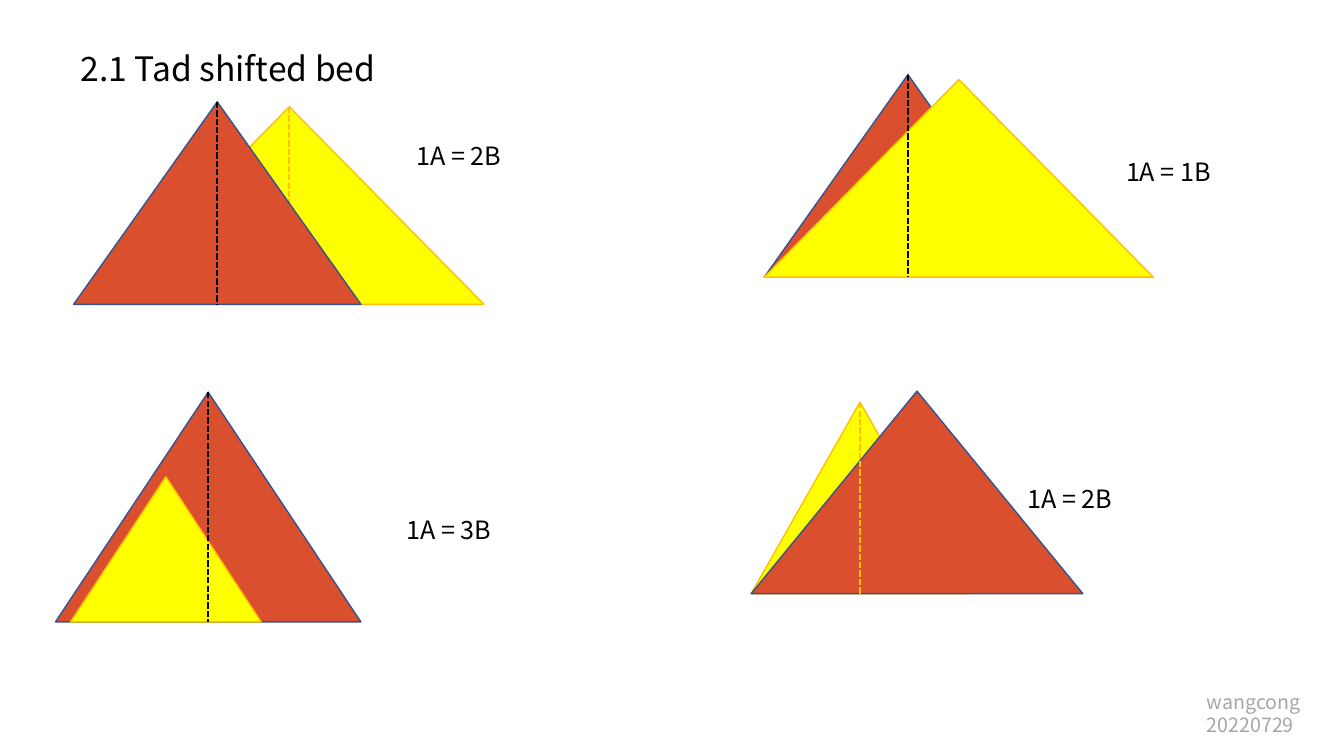
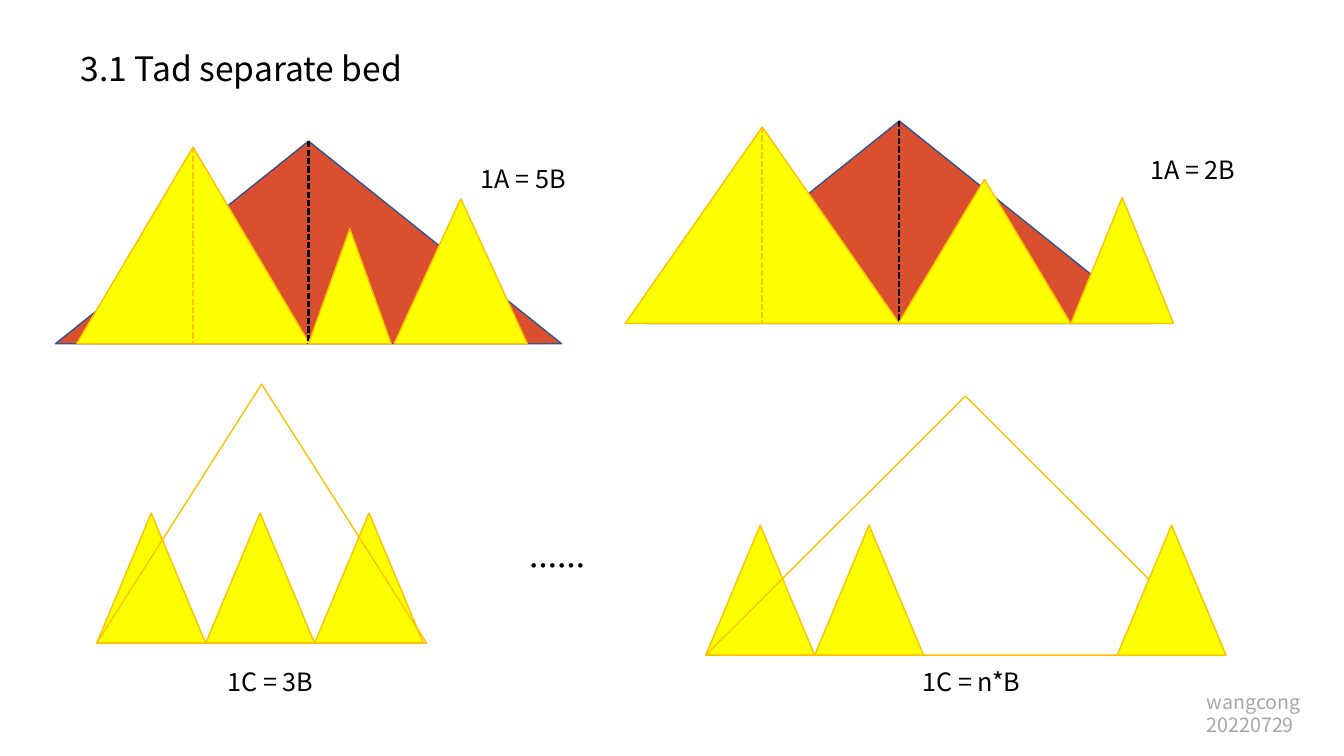
from lxml.etree import SubElement
from pptx import Presentation
from pptx.dml.color import RGBColor
from pptx.enum.dml import MSO_LINE as Dash
from pptx.enum.shapes import MSO_CONNECTOR as Link, MSO_SHAPE as Shape
from pptx.enum.text import MSO_ANCHOR as Anchor, MSO_AUTO_SIZE as Fit, PP_ALIGN as Align
from pptx.oxml.ns import qn
from pptx.util import Inches, Pt

WIDE, HIGH = 13.33, 7.5
FONT = "Noto Sans CJK SC"
HUE = {"red": "DA4F2E", "blue": "325491", "yellow": "FFFF00",
       "gold": "FFC000", "black": "000000", "grey": "A6A6A6"}
# Bed type: fill, outline, axis
STYLE = {"A": ("red", "blue", "black"),
         "B": ("yellow", "gold", "gold"),
         "C": (None, "gold", None)}
FOOT = ["wangcong", "20220729"]
STEP = 1.08  # width of one small bed
SMALL = 1.29  # height of one small bed


def row(*lefts):
    return {f"B{i}": (x, STEP, SMALL) for i, x in enumerate(lefts, 1)}


# Each panel: base line, beds as (left, width, height), drawing order from the
# back (lower case is the axis of that bed), label and the label's left and top.
SLIDES = [
    {"title": "2.1 Tad shifted bed", "panels": [
        (3.02, {"A": (0.73, 2.85, 2.01), "B": (0.94, 3.86, 1.96)},
         "B b A a", "1A = 2B", 4.03, 1.34),
        (2.75, {"A": (7.58, 2.85, 2.01), "B": (7.58, 3.86, 1.96)},
         "A B a", "1A = 1B", 11.07, 1.5),
        (6.17, {"A": (0.55, 3.03, 2.28), "B": (0.7, 1.89, 1.44)},
         "A B a", "1A = 3B", 3.93, 5.05),
        (5.89, {"A": (7.45, 3.29, 2.01), "B": (7.45, 2.16, 1.9)},
         "B A b", "1A = 2B", 10.09, 4.74),
    ]},
    {"title": "3.1 Tad separate bed", "panels": [
        (3.41, {"A": (0.55, 5.02, 2.01), "B1": (0.76, 2.31, 1.95),
                "B2": (3.06, 0.82, 1.14), "B3": (3.91, 1.32, 1.44)},
         "A B1 b1 a B2 B3", "1A = 5B", 4.67, 1.57),
        (3.21, {"A": (6.41, 5.02, 2.01), "B1": (6.2, 2.72, 1.95),
                "B2": (8.91, 1.71, 1.43), "B3": (10.62, 1.02, 1.25)},
         "A B1 b1 a B2 B3", "1A = 2B", 11.31, 1.48),
        (6.38, {"C": (0.96, 3.27, 2.57), **row(*(0.96 + STEP * i for i in range(3)))},
         "B3 B1 B2 C", "1C = 3B", 2.16, 6.56),
        (6.5, {"C": (7, 5.15, 2.57), **row(7, 7 + STEP, 11.08)},
         "B1 B2 C B3", "1C = n*B", 9.05, 6.56),
    ], "dots": ("……", 5.15, 5.39)},
]


def rgb(name):
    return RGBColor.from_string(HUE[name])


def place(shape, x, y, w, h):
    shape.left, shape.top, shape.width, shape.height = map(Inches, (x, y, w, h))


def write(box, *lines, size=18, hue="black", bold=False, lead=None):
    frame = box.text_frame
    frame.word_wrap, frame.auto_size = True, Fit.NONE
    frame.vertical_anchor = Anchor.MIDDLE
    frame.text = "\n".join(lines)
    for para in frame.paragraphs:
        para.alignment = Align.LEFT
        para.line_spacing = lead
        for run in para.runs:
            font = run.font
            font.size, font.bold = Pt(size), bold
            font.color.rgb = rgb(hue)
            font.name = FONT
            SubElement(font._element, qn("a:ea"), typeface=FONT)


def label(slide, x, y, w, h, *lines, **form):
    box = slide.shapes.add_textbox(*map(Inches, (x, y, w, h)))
    write(box, *lines, **form)


def bed(slide, base, x, w, h, kind):
    fill, edge, _ = STYLE[kind]
    tri = slide.shapes.add_shape(Shape.ISOSCELES_TRIANGLE,
                                 *map(Inches, (x, base - h, w, h)))
    tri.shadow.inherit = False
    if fill:
        tri.fill.solid()
        tri.fill.fore_color.rgb = rgb(fill)
    else:
        tri.fill.background()
    tri.line.color.rgb, tri.line.width = rgb(edge), Pt(1)


def axis(slide, base, x, w, h, kind):
    """Dashed line from the apex of a bed down to its base."""
    mid = x + w / 2
    link = slide.shapes.add_connector(Link.STRAIGHT,
                                      *map(Inches, (mid, base - h, mid, base)))
    link.line.color.rgb, link.line.width = rgb(STYLE[kind][2]), Pt(1.5)
    link.line.dash_style = Dash.SQUARE_DOT
    SubElement(link._element.spPr, qn("a:effectLst"))


def panel(slide, base, beds, order, text, x, y):
    for key in order.split():
        draw = axis if key.islower() else bed
        name = key.upper()
        draw(slide, base, *beds[name], name[0])
    label(slide, x, y, 1.47, 0.4, text)


def build(deck, data):
    slide = deck.slides.add_slide(deck.slide_layouts.get_by_name("Title Only"))
    title = slide.shapes.title
    place(title, 0.7, 0.43, 4.04, 0.5)
    write(title, data["title"], size=24)
    for part in data["panels"]:
        panel(slide, *part)
    if "dots" in data:
        text, x, y = data["dots"]
        label(slide, x, y, 1.08, 0.44, text, size=20, bold=True)
    label(slide, 11.87, 6.79, WIDE - 11.87, 0.57, *FOOT,
          size=14, hue="grey", lead=Pt(16.4))


def main():
    deck = Presentation()
    deck.slide_width, deck.slide_height = Inches(WIDE), Inches(HIGH)
    for data in SLIDES:
        build(deck, data)
    deck.save("out.pptx")


if __name__ == "__main__":
    main()
